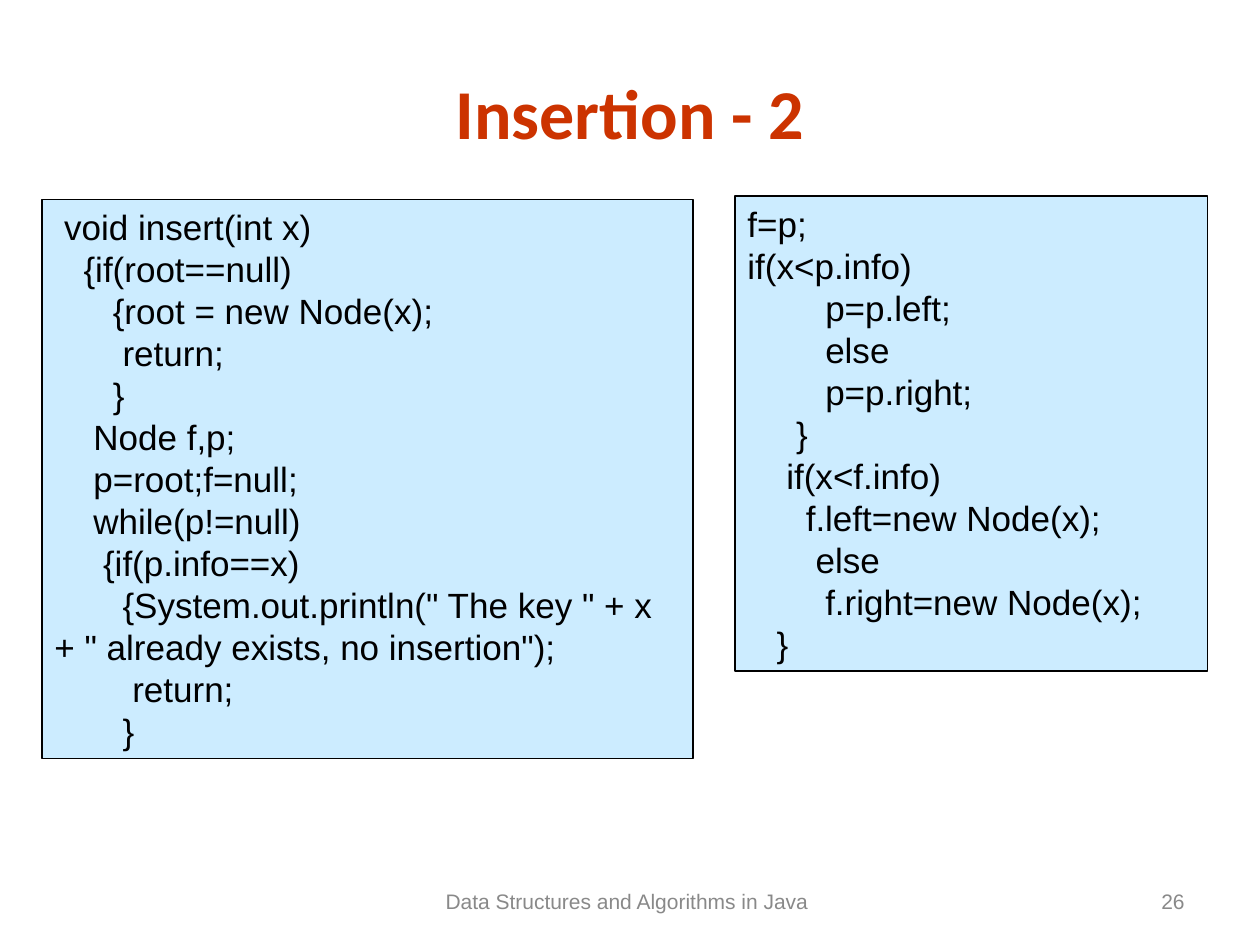
from pptx import Presentation
from pptx.dml.color import RGBColor
from pptx.enum.shapes import MSO_SHAPE
from pptx.enum.text import MSO_ANCHOR, PP_ALIGN
from pptx.util import Pt

COLORS = {"title": "CC3300", "code": "000000", "panel": "CCECFF", "footer": "898989"}
CODE_SIZE = 20
INDENT_STEP = 5.56  # width of one Arial space at CODE_SIZE

# Each code line: indent steps, text
INSERT_START = [
    (1, "void insert(int x)"),
    (3, "{if(root==null)"),
    (6, "{root = new Node(x);"),
    (7, "return;"),
    (6, "}"),
    (4, "Node f,p;"),
    (4, "p=root;f=null;"),
    (4, "while(p!=null)"),
    (5, "{if(p.info==x)"),
    (7, '{System.out.println(" The key " + x + " already exists, no insertion");'),
    (8, "return;"),
    (7, "}"),
]
INSERT_END = [
    (0, "f=p;"),
    (0, "if(x<p.info)"),
    (8, "p=p.left;"),
    (8, "else"),
    (8, "p=p.right;"),
    (5, "}"),
    (4, "if(x<f.info)"),
    (6, "f.left=new Node(x);"),
    (7, "else"),
    (8, "f.right=new Node(x);"),
    (3, "}"),
]


def color(name):
    return RGBColor.from_string(COLORS[name])


class CodePage:
    def __init__(self, deck):
        self.shapes = deck.slides.add_slide(deck.slide_layouts[6]).shapes

    def style(self, paragraph, size, color_name, align, font="Arial", bold=False):
        paragraph.alignment = align
        for span in paragraph.runs:
            span.font.name = font
            span.font.size = Pt(size)
            span.font.bold = bold
            span.font.color.rgb = color(color_name)

    def label(self, text, bounds, size, color_name, align, **font_style):
        frame = self.shapes.add_textbox(*map(Pt, bounds)).text_frame
        frame.word_wrap = True
        frame.vertical_anchor = MSO_ANCHOR.MIDDLE
        frame.text = text
        self.style(frame.paragraphs[0], size, color_name, align, **font_style)

    def code_panel(self, lines, bounds):
        """Draw a framed box of code; only the first row of a wrapped line is indented."""
        box = self.shapes.add_shape(MSO_SHAPE.RECTANGLE, *map(Pt, bounds))
        box.shadow.inherit = False
        box.fill.solid()
        box.fill.fore_color.rgb = color("panel")
        box.line.color.rgb = color("code")
        box.line.width = Pt(0.75)
        frame = box.text_frame
        frame.word_wrap = True
        frame.vertical_anchor = MSO_ANCHOR.TOP
        frame.text = "\n".join(text for _, text in lines)
        for paragraph, (steps, _) in zip(frame.paragraphs, lines):
            self.style(paragraph, CODE_SIZE, "code", PP_ALIGN.LEFT)
            properties = paragraph._p.get_or_add_pPr()
            properties.set("marL", "0")
            properties.set("indent", str(Pt(steps * INDENT_STEP)))


def main():
    deck = Presentation()
    deck.slide_width, deck.slide_height = Pt(720), Pt(540)
    page = CodePage(deck)
    page.label("Data Structures and Algorithms in Java ", (228, 500.5, 264, 29),
               12, "footer", PP_ALIGN.CENTER)
    page.code_panel(INSERT_START, (24, 114, 372, 319.5))
    page.label("Insertion - 2", (114, 36, 492, 55.5), 40, "title", PP_ALIGN.CENTER,
               font="Calibri", bold=True)
    page.code_panel(INSERT_END, (420, 112, 270, 271.5))
    page.label("26", (516, 500.5, 168, 29), 12, "footer", PP_ALIGN.RIGHT)
    deck.save("out.pptx")


if __name__ == "__main__":
    main()
